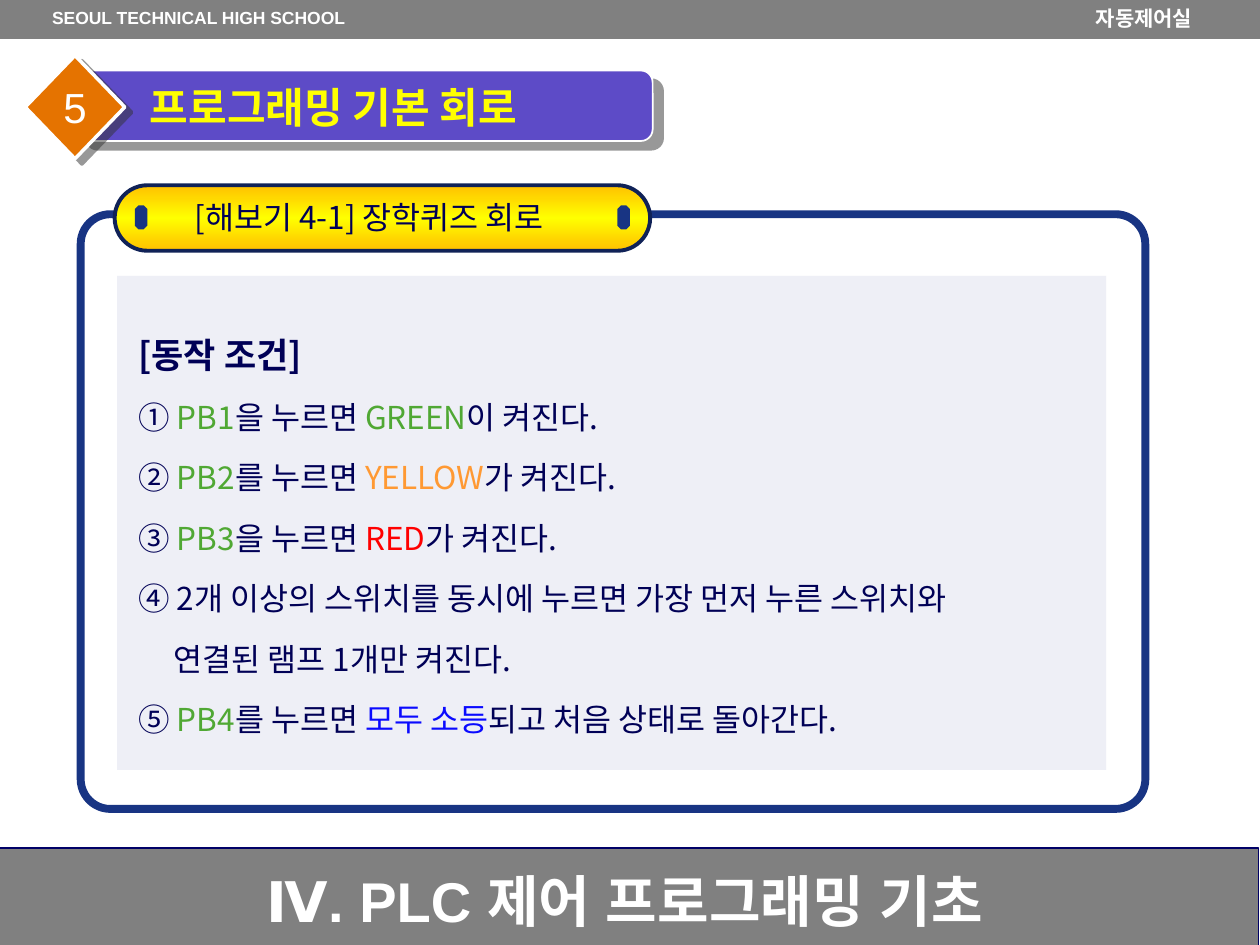
from lxml import etree
from pptx import Presentation
from pptx.dml.color import RGBColor
from pptx.enum.shapes import MSO_SHAPE
from pptx.enum.text import MSO_ANCHOR, MSO_AUTO_SIZE, PP_ALIGN
from pptx.oxml import parse_xml
from pptx.oxml.ns import nsdecls, qn
from pptx.util import Inches, Pt

RECTANGLE, ROUNDED = MSO_SHAPE.RECTANGLE, MSO_SHAPE.ROUNDED_RECTANGLE
DIAMOND, OCTAGON = MSO_SHAPE.DIAMOND, MSO_SHAPE.OCTAGON
LEFT, CENTER, JUSTIFY = PP_ALIGN.LEFT, PP_ALIGN.CENTER, PP_ALIGN.JUSTIFY
MIDDLE, TOP = MSO_ANCHOR.MIDDLE, MSO_ANCHOR.TOP
FIXED = MSO_AUTO_SIZE.NONE
KOREAN, LATIN = "Noto Sans CJK KR", "Arial"
WHITE, GRAY, NAVY, BLUE = "FFFFFF", "808080", "000056", "183483"
GREEN, ORANGE, RED, BRIGHT = "50A834", "FF9933", "FF0000", "0A0AFF"
COLUMNS, ROWS = 100, 75

presentation = Presentation()
presentation.slide_width, presentation.slide_height = Inches(10), Inches(7.5)
cell_width = presentation.slide_width / COLUMNS
cell_height = presentation.slide_height / ROWS
slide = presentation.slides.add_slide(presentation.slide_layouts[5])


def add_box(kind, area, fill=None, line=None, width=0, adjust=None):
    left, top, columns, rows = area
    shape = slide.shapes.add_shape(
        kind, round(left * cell_width), round(top * cell_height),
        round(columns * cell_width), round(rows * cell_height))
    shape.shadow.inherit = False
    if adjust is not None:
        shape.adjustments[0] = adjust
    if fill:
        shape.fill.solid()
        shape.fill.fore_color.rgb = RGBColor.from_string(fill)
    else:
        shape.fill.background()
    if line:
        shape.line.color.rgb = RGBColor.from_string(line)
        shape.line.width = Pt(width)
    else:
        shape.line.fill.background()
    return shape


def add_runs(paragraph, runs, size, font, bold=False, align=CENTER):
    paragraph.alignment = align
    for text, color in runs:
        run = paragraph.add_run()
        run.text = text
        run.font.size, run.font.name, run.font.bold = Pt(size), font, bold
        run.font.color.rgb = RGBColor.from_string(color)
        east_asian = etree.SubElement(run.font._element, qn("a:ea"))
        east_asian.set("typeface", font)


add_box(RECTANGLE, (-0.1, 67.3, 100, 8), GRAY, "000066", 0.75)
add_box(RECTANGLE, (0, -0.2, 100, 3.3), GRAY)
add_box(ROUNDED, (6.4, 17, 84.5, 47.2), None, BLUE, 4.5, 0.05)

pill = add_box(ROUNDED, (9.1, 14.7, 42.5, 5.2), "FFC000", "102257", 2.25, 0.5)
pill.fill.gradient()
pill.fill.gradient_angle = 90
stops = pill.fill._fill._gradFill.find(qn("a:gsLst"))
for stop in list(stops):
    stops.remove(stop)
for position, color in ((0, "FFC000"), (50000, "FFFF00"), (100000, "FFC000")):
    stop = etree.SubElement(stops, qn("a:gs"), pos=str(position))
    etree.SubElement(stop, qn("a:srgbClr"), val=color)
for left in (10.7, 49):
    add_box(OCTAGON, (left, 16.3, 1, 1.9), BLUE)

panel = add_box(RECTANGLE, (9.3, 21.9, 78.5, 39.2), "EEEFF6")
bar = add_box(ROUNDED, (6, 5.6, 45.8, 5.6), "5D4BC7", WHITE, 1)

title = slide.shapes.title
title.left, title.top = round(8.2 * cell_width), round(6 * cell_height)
title.width, title.height = round(41.8 * cell_width), round(5 * cell_height)
bar._element.addnext(title._element)
title.text_frame.auto_size = FIXED
title.text_frame.vertical_anchor = MIDDLE
title.text_frame.margin_left = round(3.7 * cell_width)
add_runs(title.text_frame.paragraphs[0], [("프로그래밍 기본 회로", "FFFF00")],
         24, KOREAN, True, LEFT)

badge = add_box(DIAMOND, (2, 4.4, 7.9, 8.2), "E57300", WHITE, 2)
badge.text_frame.word_wrap = False
badge.text_frame.vertical_anchor = MIDDLE
add_runs(badge.text_frame.paragraphs[0], [("5", WHITE)], 24, LATIN)

for shape, distance, angle in ((bar, 7.8, 40), (badge, 5, 37)):
    effects = shape._element.spPr.find(qn("a:effectLst"))
    effects.append(parse_xml(
        f'<a:outerShdw {nsdecls("a")} blurRad="0" dist="{Pt(distance)}" '
        f'dir="{angle * 60000}" algn="ctr" rotWithShape="0">'
        '<a:srgbClr val="333333"><a:alpha val="50000"/></a:srgbClr>'
        '</a:outerShdw>'))

labels = [
    ((9.2, 68.3, 80.8, 6.2), "Ⅳ. PLC 제어 프로그래밍 기초", 32, LATIN, WHITE, True, MIDDLE),
    ((2.8, 0.1, 25.9, 3.2), "SEOUL TECHNICAL HIGH SCHOOL", 10, LATIN, WHITE, True, TOP),
    ((81.5, -0.2, 18.6, 3.2), "자동제어실", 12, KOREAN, WHITE, True, MIDDLE),
    ((11.4, 15.2, 35.8, 4), "[해보기 4-1] 장학퀴즈 회로", 18, KOREAN, NAVY, False, TOP),
]
for (left, top, columns, rows), text, size, font, color, bold, anchor in labels:
    label = slide.shapes.add_textbox(
        round(left * cell_width), round(top * cell_height),
        round(columns * cell_width), round(rows * cell_height))
    label.text_frame.word_wrap = True
    label.text_frame.vertical_anchor = anchor
    add_runs(label.text_frame.paragraphs[0], [(text, color)], size, font, bold)

lamp_rules = [("①", "PB1", "을", "GREEN", GREEN, "이"),
              ("②", "PB2", "를", "YELLOW", ORANGE, "가"),
              ("③", "PB3", "을", "RED", RED, "가")]
conditions = [[("[동작 조건]", NAVY)]]
for number, button, particle, lamp, color, subject in lamp_rules:
    conditions.append([(f"{number} ", NAVY), (button, GREEN),
                       (f"{particle} 누르면 ", NAVY), (lamp, color),
                       (f"{subject} 켜진다.", NAVY)])
conditions += [
    [("④ 2개 이상의 스위치를 동시에 누르면 가장 먼저 누른 스위치와", NAVY)],
    [("연결된 램프 1개만 켜진다.", NAVY)],
    [("⑤ ", NAVY), ("PB4", GREEN), ("를 누르면 ", NAVY),
     ("모두 소등", BRIGHT), ("되고 처음 상태로 돌아간다.", NAVY)],
]
frame = panel.text_frame
frame.word_wrap = True
frame.vertical_anchor = MIDDLE
for index, runs in enumerate(conditions):
    paragraph = frame.paragraphs[0] if index == 0 else frame.add_paragraph()
    paragraph.line_spacing = 1.6
    indent = 3.5 if index == 5 else 0.7
    paragraph._p.get_or_add_pPr().set("marL", str(round(indent * cell_width)))
    heading = index == 0
    add_runs(paragraph, runs, 20 if heading else 18, KOREAN, heading, JUSTIFY)

presentation.save("out.pptx")
